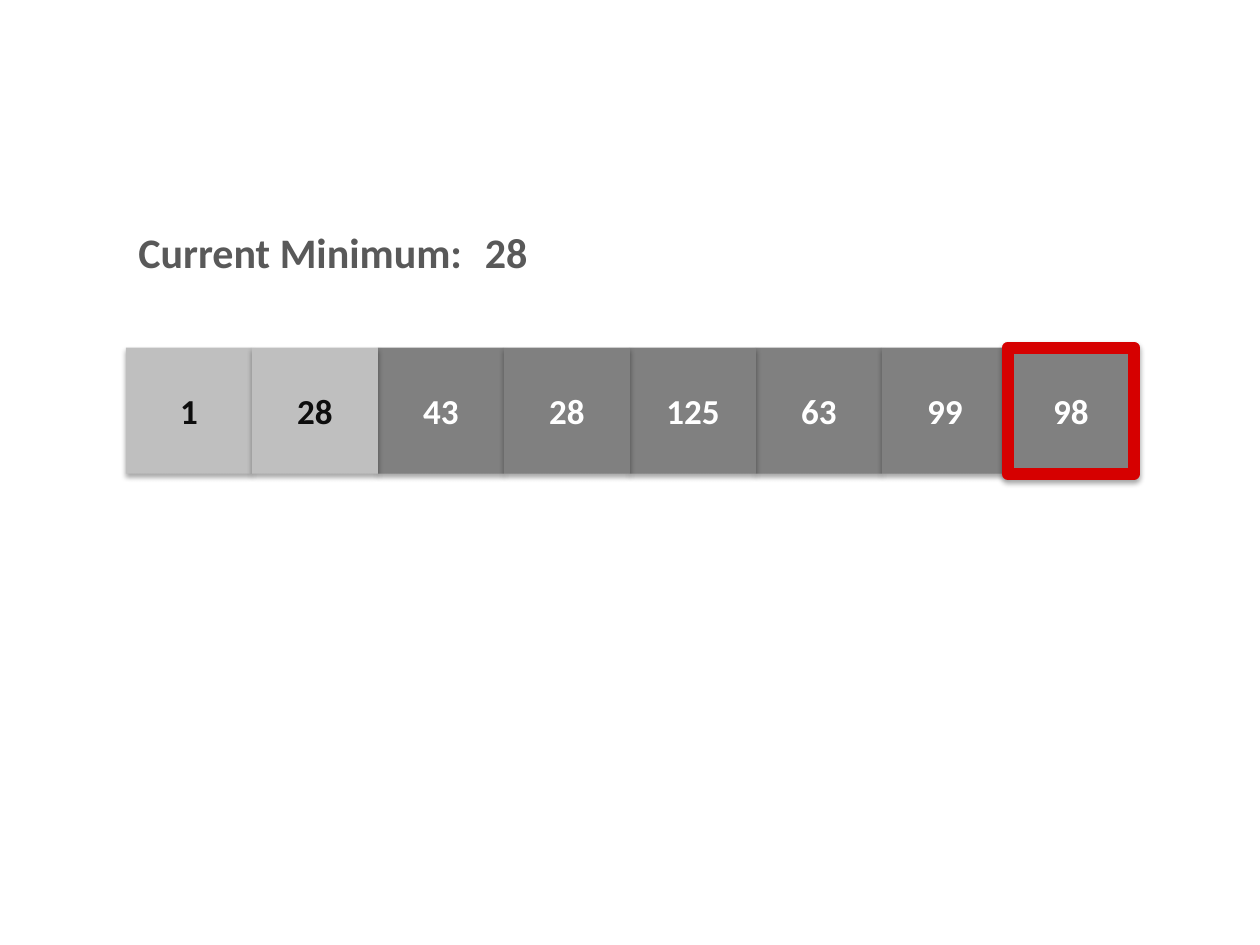
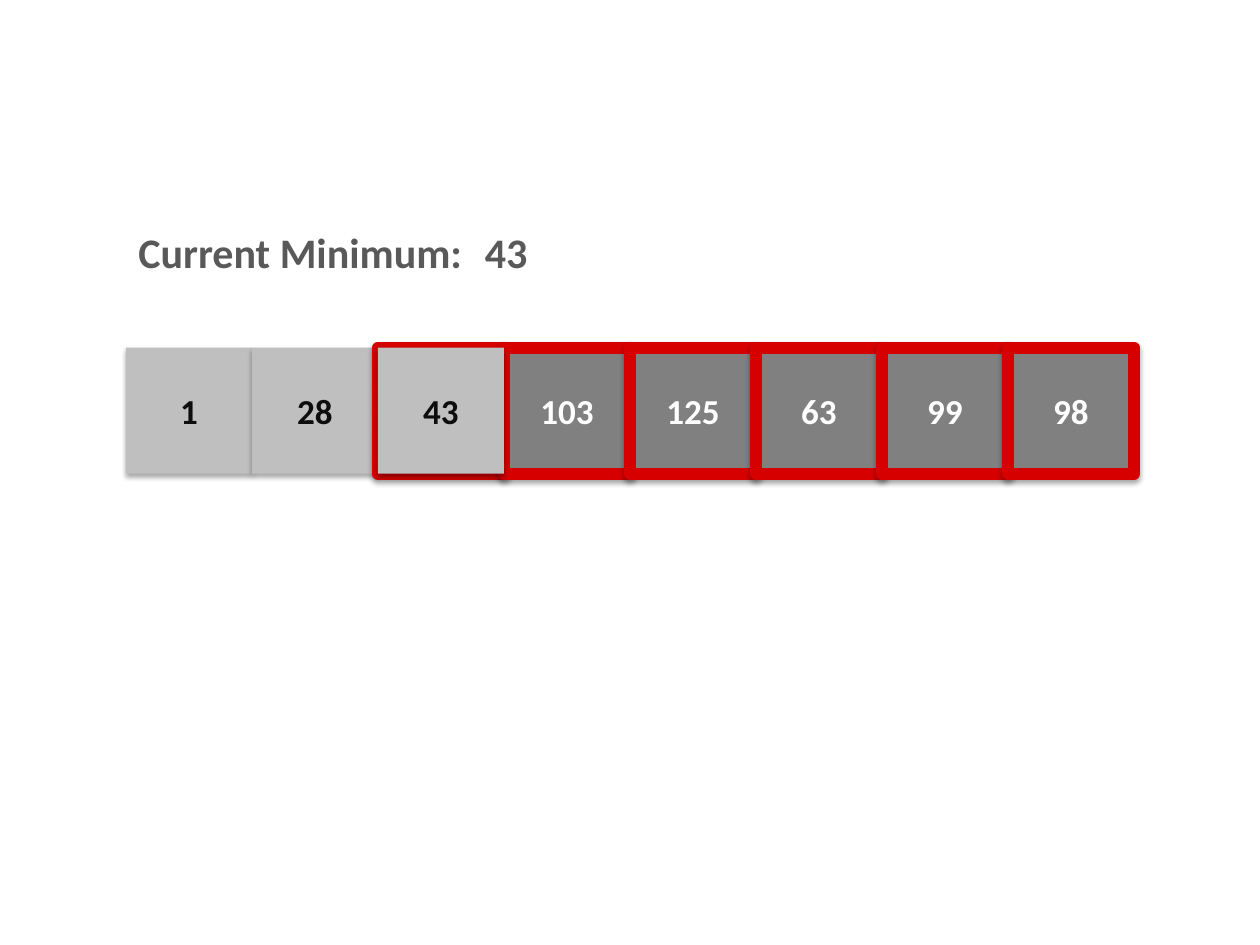
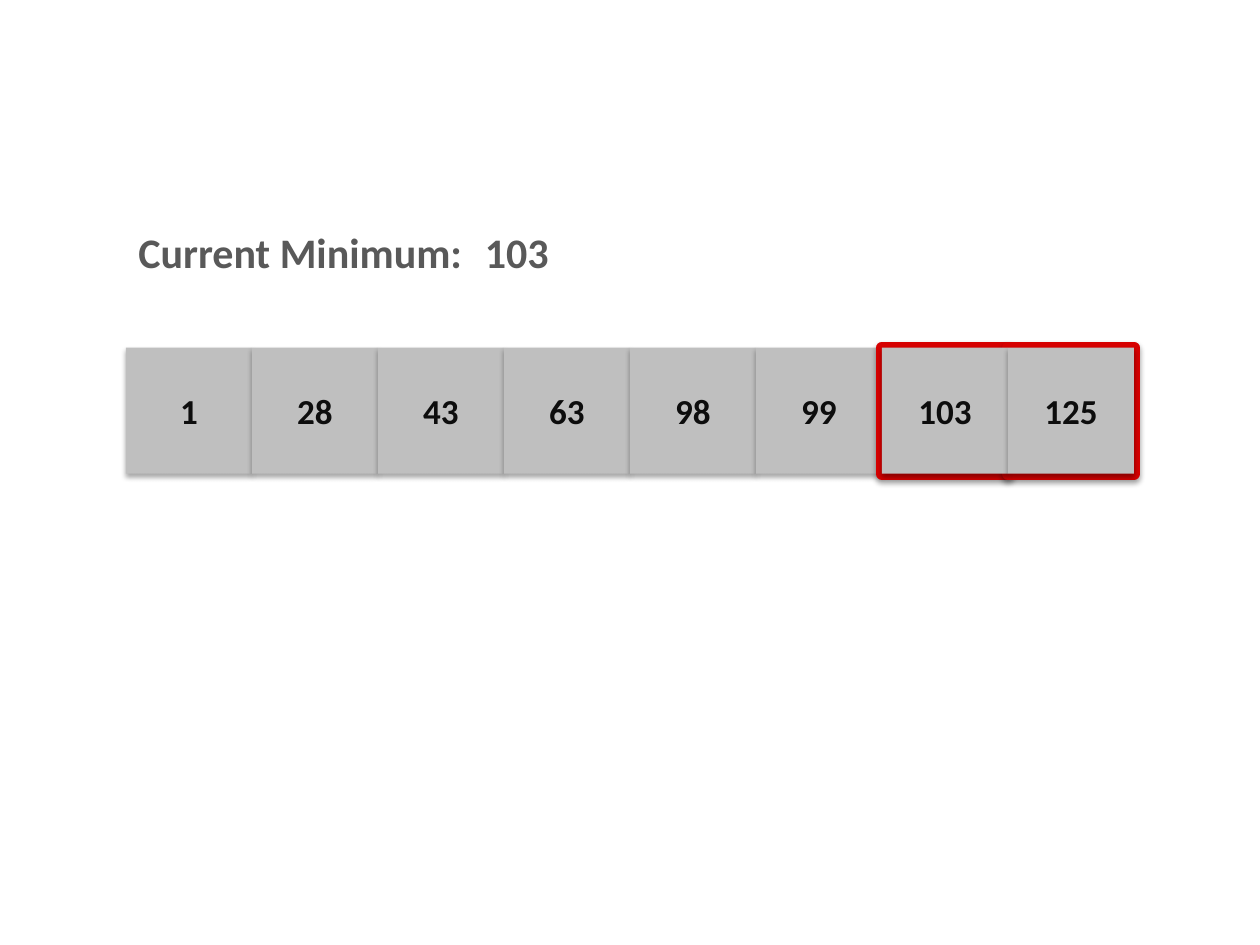
import dataclasses
import typing

import lxml.etree
import pptx
import pptx.dml.color
import pptx.enum.shapes
import pptx.enum.text
import pptx.oxml.ns
import pptx.shapes.autoshape
import pptx.slide
import pptx.util

Pt = pptx.util.Pt
Align = pptx.enum.text.PP_ALIGN
Anchor = pptx.enum.text.MSO_ANCHOR
qn = pptx.oxml.ns.qn

COLORS = {
    "open": "808080",
    "sorted": "BFBFBF",
    "frame": "D60000",
    "light": "FFFFFF",
    "dark": "0D0D0D",
    "label": "595959",
    "shadow": "000000",
}
FONT = "Calibri"
SIDE = 72
LEFT = 72
ROW_TOP = 198.72
LABEL_TOP = 126
FRAME = 7


@dataclasses.dataclass(frozen=True)
class Look:
    fill: str
    ink: str
    framed: bool = False


OPEN = Look("open", "light")
SEEN = Look("open", "light", framed=True)
DONE = Look("sorted", "dark")


@dataclasses.dataclass(frozen=True)
class Cell:
    slot: int
    value: int
    look: Look


@dataclasses.dataclass(frozen=True)
class Step:
    """One state of the sort; cells run from back to front."""

    least: int
    cells: list[Cell]


def run(start: int, look: Look, *values: int) -> list[Cell]:
    """Cells of one look in neighbouring slots."""
    return [Cell(slot, value, look) for slot, value in enumerate(values, start)]


STEPS = [
    Step(28, [
        Cell(2, 43, OPEN), Cell(5, 63, OPEN), Cell(4, 125, OPEN),
        Cell(6, 99, OPEN), Cell(0, 1, DONE), Cell(7, 98, SEEN),
        Cell(1, 28, DONE), Cell(3, 28, OPEN),
    ]),
    Step(43, run(0, DONE, 1, 28) + run(2, SEEN, 43, 103, 125, 63, 99, 98)
         + run(2, DONE, 43)),
    Step(103, run(0, DONE, 1, 28, 43, 63, 98, 99) + run(6, SEEN, 103, 125)
         + run(6, DONE, 103, 125)),
]


def tint(name: str) -> pptx.dml.color.RGBColor:
    return pptx.dml.color.RGBColor.from_string(COLORS[name])


def write(frame: typing.Any, text: str, *, size: float, ink: str,
          align: Align = Align.LEFT, anchor: Anchor = Anchor.TOP) -> None:
    frame.word_wrap = True
    frame.vertical_anchor = anchor
    para = frame.paragraphs[0]
    para.alignment = align
    part = para.add_run()
    part.text = text
    part.font.name = FONT
    part.font.size = Pt(size)
    part.font.bold = True
    part.font.color.rgb = tint(ink)


def shade(shape: pptx.shapes.autoshape.Shape) -> None:
    """Give the shape a soft shadow that falls straight down."""
    shape.shadow.inherit = False
    effects = shape._element.spPr.find(qn("a:effectLst"))
    outer = lxml.etree.SubElement(
        effects, qn("a:outerShdw"), blurRad=str(Pt(3.1)), dist=str(Pt(1.8)),
        dir="5400000", rotWithShape="0")
    color = lxml.etree.SubElement(outer, qn("a:srgbClr"), val=COLORS["shadow"])
    lxml.etree.SubElement(color, qn("a:alpha"), val="35000")


def draw_cell(slide: pptx.slide.Slide, cell: Cell) -> None:
    box = slide.shapes.add_shape(
        pptx.enum.shapes.MSO_SHAPE.RECTANGLE,
        Pt(LEFT + cell.slot * SIDE), Pt(ROW_TOP), Pt(SIDE), Pt(SIDE))
    box.fill.solid()
    box.fill.fore_color.rgb = tint(cell.look.fill)
    if cell.look.framed:
        box.line.color.rgb = tint("frame")
        box.line.width = Pt(FRAME)
    else:
        box.line.fill.background()
    shade(box)
    write(box.text_frame, str(cell.value), size=20, ink=cell.look.ink,
          align=Align.CENTER, anchor=Anchor.MIDDLE)


def draw_label(slide: pptx.slide.Slide, text: str, left: float, width: float) -> None:
    box = slide.shapes.add_textbox(Pt(left), Pt(LABEL_TOP), Pt(width), Pt(36))
    box.text_frame.auto_size = pptx.enum.text.MSO_AUTO_SIZE.SHAPE_TO_FIT_TEXT
    write(box.text_frame, text, size=24, ink="label")


def draw_step(slide: pptx.slide.Slide, step: Step) -> None:
    draw_label(slide, "Current Minimum:", LEFT, 216)
    draw_label(slide, str(step.least), 270, 72)
    for cell in step.cells:
        draw_cell(slide, cell)


def main() -> None:
    deck = pptx.Presentation()
    deck.slide_width, deck.slide_height = Pt(720), Pt(540)
    blank = deck.slide_layouts[6]
    for step in STEPS:
        draw_step(deck.slides.add_slide(blank), step)
    deck.save("out.pptx")


if __name__ == "__main__":
    main()
